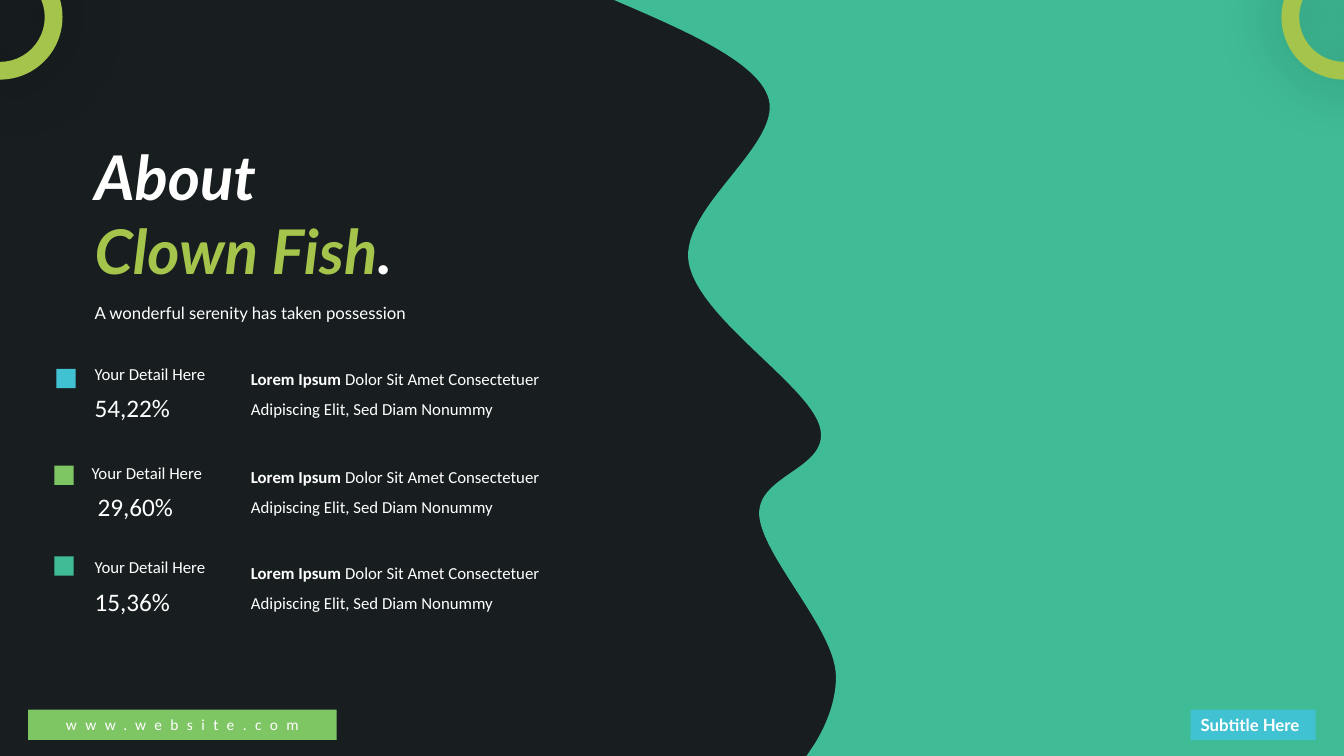
from dataclasses import dataclass

from lxml import etree
from pptx import Presentation
from pptx import util as u
from pptx.dml.color import RGBColor
from pptx.enum import shapes, text
from pptx.oxml.ns import qn

PX = 9144  # EMU per px, 100 px to the inch
WHITE, DARK, LIME = "FFFFFF", "181E20", "A5C44B"
BLUE, GREEN, TEAL = "40C2D2", "7EC564", "3FBC96"
BODY, HEAD = "Calibri", "Lato"


@dataclass
class Run:
    text: str
    color: str = WHITE
    bold: bool = False


@dataclass
class Detail:
    color: str
    percent: str
    marker: tuple[int, int]
    label: tuple[int, int]
    value: tuple[int, int]
    note_y: int


DETAILS = [
    Detail(BLUE, "54,22%", (56, 366), (84, 356), (84, 384), 351),
    Detail(GREEN, "29,60%", (54, 462), (81, 454), (87, 483), 448),
    Detail(TEAL, "15,36%", (54, 552), (84, 547), (84, 577), 543),
]

# Wave outline: straight corners, then curves as (control, control, end)
CORNERS = [(1333, 0), (1333, 750), (800, 750), (808, 738)]
WAVE = [
    [(821, 717), (830, 692), (829, 669)],
    [(827, 623), (756, 552), (753, 511)],
    [(751, 470), (825, 465), (813, 423)],
    [(801, 381), (692, 315), (683, 260)],
    [(674, 205), (781, 140), (761, 94)],
    [(747, 59), (674, 28), (609, 0)],
]


def rgb(color: str) -> RGBColor:
    return RGBColor.from_string(color)


def paint(sp, color: str) -> None:
    sp.shadow.inherit = False
    sp.fill.solid()
    sp.fill.fore_color.rgb = rgb(color)
    sp.line.fill.background()


def add_shape(s, kind, x: int, y: int, w: int, h: int, color: str):
    sp = s.shapes.add_shape(kind, x * PX, y * PX, w * PX, h * PX)
    paint(sp, color)
    return sp


def write(sp, lines: list[list[Run]], size: int, font: str, italic: bool = False,
          spacing: float = 1.0, wrap: bool = True, align=text.PP_ALIGN.LEFT,
          grow: bool = True, anchor=text.MSO_ANCHOR.TOP):
    tf = sp.text_frame
    tf.word_wrap = wrap
    tf.vertical_anchor = anchor
    if grow:
        tf.auto_size = text.MSO_AUTO_SIZE.SHAPE_TO_FIT_TEXT
    for i, runs in enumerate(lines):
        p = tf.add_paragraph() if i else tf.paragraphs[0]
        p.alignment, p.line_spacing = align, spacing
        p.font.size, p.font.name, p.font.italic = u.Pt(size), font, italic
        p.font.color.rgb, p.font.bold = rgb(runs[0].color), runs[0].bold
        for run in runs:
            r = p.add_run()
            r.text = run.text
            if run.color != runs[0].color:
                r.font.color.rgb = rgb(run.color)
            if run.bold != runs[0].bold:
                r.font.bold = run.bold
    return tf


def add_text(s, x: int, y: int, w: int, h: int, lines: list[list[Run]],
             size: int, font: str, **style) -> None:
    sp = s.shapes.add_textbox(x * PX, y * PX, w * PX, h * PX)
    write(sp, lines, size, font, **style)


def add_wave(s) -> None:
    left, top = WAVE[-1][-1]
    fb = s.shapes.build_freeform(left, top, scale=PX)
    fb.add_line_segments(CORNERS + [curve[-1] for curve in WAVE], close=True)
    sp = fb.convert_to_shape()
    paint(sp, TEAL)
    # Bend the last segments into curves
    segments = list(sp._element.iter(qn("a:lnTo")))[len(CORNERS):len(CORNERS) + len(WAVE)]
    for segment, curve in zip(segments, WAVE):
        segment.tag = qn("a:cubicBezTo")
        for i, (x, y) in enumerate(curve[:2]):
            pt = etree.Element(qn("a:pt"), x=str(x - left), y=str(y - top))
            segment.insert(i, pt)


def add_ring(s, x: int) -> None:
    sp = add_shape(s, shapes.MSO_SHAPE.DONUT, x, -45, 124, 124, LIME)
    sp.adjustments[0] = 0.142
    effects = sp._element.spPr.find(qn("a:effectLst"))
    shadow = etree.SubElement(effects, qn("a:outerShdw"), blurRad=str(u.Pt(49)),
                              dist="0", dir="0", algn="ctr", rotWithShape="0")
    black = etree.SubElement(shadow, qn("a:srgbClr"), val="000000")
    etree.SubElement(black, qn("a:alpha"), val="33000")


def add_detail(s, d: Detail) -> None:
    add_shape(s, shapes.MSO_SHAPE.RECTANGLE, *d.marker, 19, 19, d.color)
    add_text(s, *d.label, 188, 30, [[Run("Your Detail Here")]], 12, BODY)
    add_text(s, *d.value, 155, 40, [[Run(d.percent)]], 18, BODY)
    note = [Run("Lorem Ipsum ", bold=True),
            Run("Dolor Sit Amet Consectetuer Adipiscing Elit, Sed Diam Nonummy")]
    add_text(s, 239, d.note_y, 309, 68, [note], 12, BODY, spacing=1.5)


def main() -> None:
    prs = Presentation()
    prs.slide_width, prs.slide_height = u.Inches(13.33), u.Inches(7.5)
    s = prs.slides.add_slide(prs.slide_layouts[6])
    s.background.fill.solid()
    s.background.fill.fore_color.rgb = rgb(DARK)
    add_wave(s)

    # Heading
    title = [[Run("About", bold=True)],
             [Run("Clown Fish", LIME, True), Run(".", bold=True)]]
    add_text(s, 84, 133, 522, 158, title, 44, HEAD, italic=True)
    add_text(s, 84, 285, 442, 37, [[Run("A wonderful serenity has taken possession")]],
             12, HEAD, spacing=1.5)

    for d in DETAILS:
        add_detail(s, d)

    # Footer tags
    subtitle = add_shape(s, shapes.MSO_SHAPE.RECTANGLE, 1181, 704, 124, 30, BLUE)
    write(subtitle, [[Run("Subtitle Here", bold=True)]], 12, HEAD, wrap=False)
    website = add_shape(s, shapes.MSO_SHAPE.ROUNDED_RECTANGLE, 28, 704, 306, 30, GREEN)
    website.adjustments[0] = 0
    tf = write(website, [[Run("www.website.com")]], 11, BODY, grow=False,
               align=text.PP_ALIGN.CENTER, anchor=text.MSO_ANCHOR.MIDDLE)
    tf.paragraphs[0].runs[0]._r.get_or_add_rPr().set("spc", "600")

    # Corner rings
    for x in (-62, 1271):
        add_ring(s, x)

    prs.save("out.pptx")


if __name__ == "__main__":
    main()
